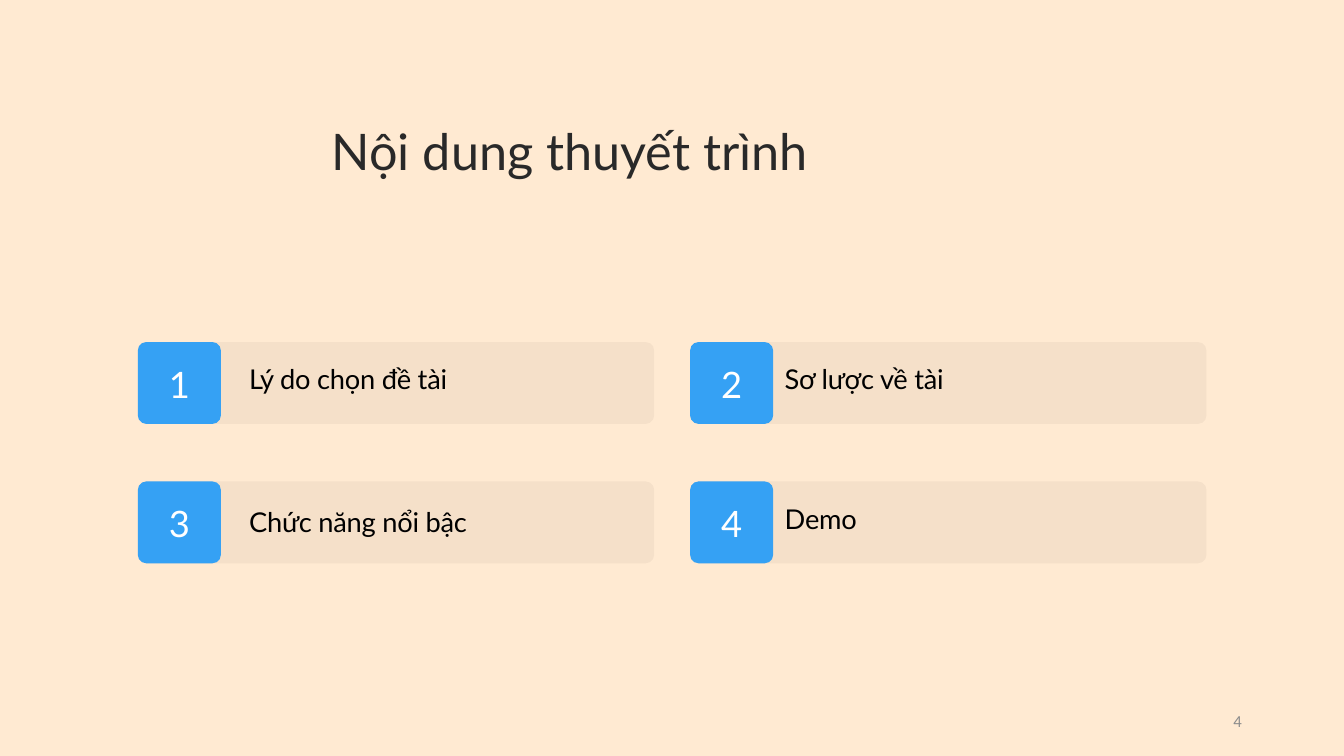
from pptx import Presentation
from pptx.dml.color import RGBColor
from pptx.enum import shapes, text
from pptx.oxml import xmlchemy
from pptx.util import Cm, Pt

COLORS = {
    "background": "FFEAD2",
    "title": "292929",
    "card": "000000",
    "badge": "35A1F4",
    "label": "000000",
    "number": "FFFFFF",
    "page": "8C8C8C",
}

# Agenda grid
GRID_LEFT, GRID_TOP = 3.57, 8.86
COLUMN_STEP, ROW_STEP = 14.3, 3.61
CARD_WIDTH, BADGE_WIDTH, CARD_HEIGHT = 13.37, 2.15, 2.12
CORNER_RADIUS = 0.22

# Label text, its offset from the card's top left corner, and its width
AGENDA = [
    ("Lý do chọn đề tài", 2.88, 0.39, 9.63),
    ("Sơ lược về tài", 2.45, 0.39, 10.24),
    ("Chức năng nổi bậc", 2.88, 0.48, 10.24),
    ("Demo", 2.45, 0.39, 10.24),
]


def color(name):
    return RGBColor.from_string(COLORS[name])


def write(shape, content, size, color_name, font="Lato", line=None, spacing=None,
          align=text.PP_ALIGN.LEFT, anchor=text.MSO_ANCHOR.TOP, bottom=0):
    frame = shape.text_frame
    frame.text = content
    frame.word_wrap = True
    frame.auto_size = text.MSO_AUTO_SIZE.NONE
    frame.vertical_anchor = anchor
    frame.margin_left = frame.margin_right = frame.margin_top = 0
    frame.margin_bottom = Cm(bottom)
    paragraph = frame.paragraphs[0]
    paragraph.alignment = align
    paragraph.space_before = Pt(0)
    if line:
        paragraph.line_spacing = Pt(line)
    run = paragraph.runs[0]
    run.font.name = font
    run.font.size = Pt(size)
    run.font.color.rgb = color(color_name)
    if spacing:
        run.font._element.set("spc", str(round(spacing * 100)))


def add_title(slide, content):
    title = slide.shapes.title
    title.left, title.top, title.width, title.height = Cm(8.59), Cm(3.12), Cm(14.94), Cm(1.57)
    write(title, content, 37, "title", line=44.4)


def add_text(slide, content, left, top, width, height, size, color_name, **options):
    box = slide.shapes.add_textbox(Cm(left), Cm(top), Cm(width), Cm(height))
    write(box, content, size, color_name, **options)


def add_panel(slide, left, top, width, color_name, opacity=None):
    panel = slide.shapes.add_shape(shapes.MSO_SHAPE.ROUNDED_RECTANGLE,
                                   Cm(left), Cm(top), Cm(width), Cm(CARD_HEIGHT))
    panel.adjustments[0] = CORNER_RADIUS / min(width, CARD_HEIGHT)
    panel.shadow.inherit = False
    panel.fill.solid()
    panel.fill.fore_color.rgb = color(color_name)
    panel.line.fill.background()
    if opacity is not None:
        fill_color = panel.element.spPr.xpath("./a:solidFill/a:srgbClr")[0]
        alpha = xmlchemy.OxmlElement("a:alpha")
        alpha.set("val", str(opacity * 1000))
        fill_color.append(alpha)
    return panel


def add_agenda_item(slide, index, label, label_left, label_top, label_width):
    row, column = divmod(index, 2)
    left = GRID_LEFT + column * COLUMN_STEP
    top = GRID_TOP + row * ROW_STEP
    add_panel(slide, left, top, CARD_WIDTH, "card", opacity=4)
    badge = add_panel(slide, left, top, BADGE_WIDTH, "badge")
    write(badge, str(index + 1), 26.7, "number", line=37.4, spacing=-0.3,
          align=text.PP_ALIGN.CENTER, anchor=text.MSO_ANCHOR.MIDDLE, bottom=0.15)
    add_text(slide, label, left + label_left, top + label_top, label_width, 0.91,
             20, "label", line=28.1, spacing=-0.2)


def main():
    presentation = Presentation()
    presentation.slide_width, presentation.slide_height = Cm(34.8), Cm(19.58)
    slide = presentation.slides.add_slide(presentation.slide_layouts[5])
    slide.background.fill.solid()
    slide.background.fill.fore_color.rgb = color("background")

    # Title
    add_title(slide, "Nội dung thuyết trình")

    # Numbered agenda cards
    for index, item in enumerate(AGENDA):
        add_agenda_item(slide, index, *item)

    # Page number
    add_text(slide, "4", 24.59, 18.14, 7.57, 1.04, 12.3, "page", font="Calibri",
             align=text.PP_ALIGN.RIGHT, anchor=text.MSO_ANCHOR.MIDDLE)

    presentation.save("out.pptx")


if __name__ == "__main__":
    main()
